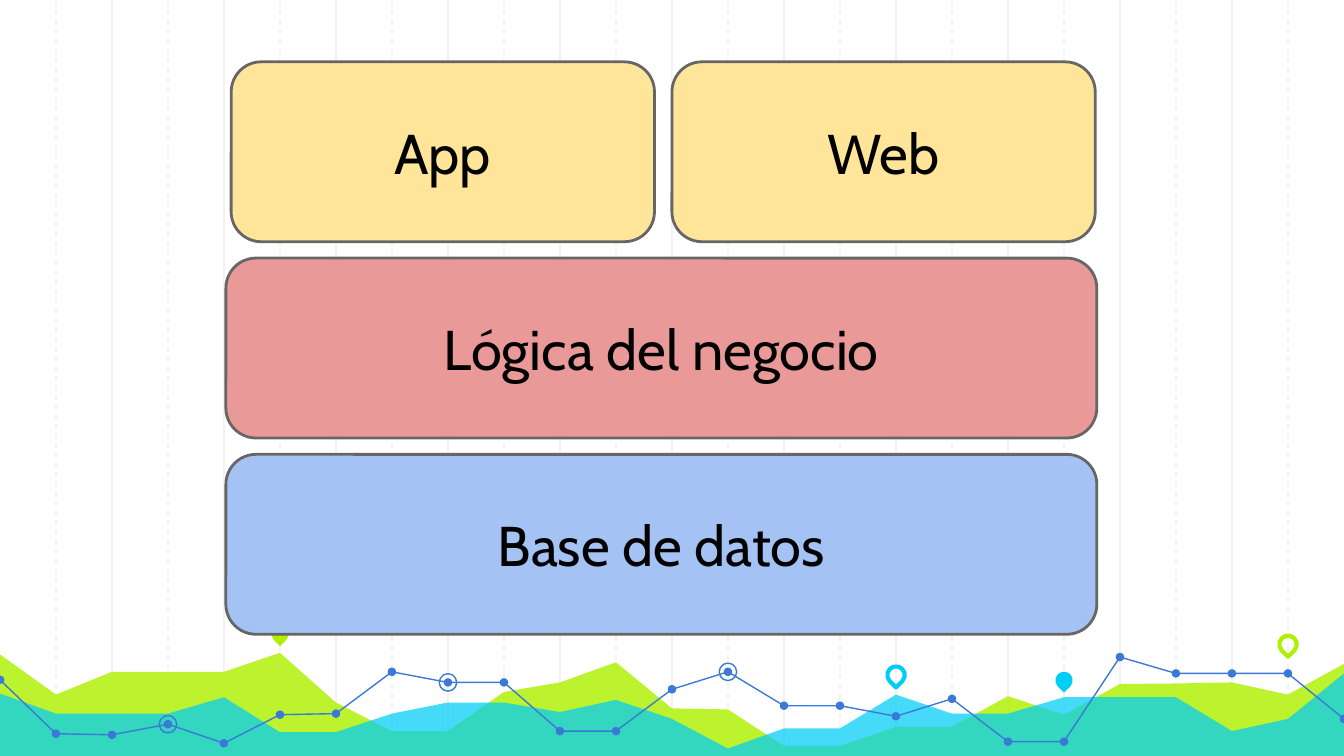
import lxml.etree
import pptx
import pptx.dml.color
import pptx.enum.dml
import pptx.enum.shapes
import pptx.enum.text
import pptx.oxml.ns
import pptx.util

Cm = pptx.util.Cm
Pt = pptx.util.Pt
MSO_SHAPE = pptx.enum.shapes.MSO_SHAPE
qn = pptx.oxml.ns.qn

COLORS = {
    "grid": "F3F3F3",
    "green": "AFF000",
    "cyan": "00CEF6",
    "trend": "3C78D8",
    "client": "FFE599",
    "logic": "EA9999",
    "data": "A4C2F4",
    "border": "666666",
    "text": "000000",
}

WIDTH, HEIGHT = 25.4, 14.29
COLUMNS = 24
STEP = WIDTH / COLUMNS
FLOOR = 14.35

# Heights in cm from the top of the slide, one for each grid column
GREEN_HILLS = [12.37, 13.13, 12.7, 12.7, 12.7, 12.34, 13.28, 13.82, 13.82,
               13.08, 12.9, 12.52, 13.39, 13.41, 14.1, 14.1, 13.74, 13.74,
               13.16, 13.51, 12.93, 12.92, 12.9, 13.13, 12.55]
CYAN_HILLS = [13.11, 13.49, 13.49, 13.49, 13.18, 13.84, 13.84, 13.49, 13.28,
              13.28, 13.46, 13.23, 13.59, 14.15, 13.77, 13.77, 13.13, 13.49,
              13.49, 13.18, 13.18, 13.18, 13.82, 13.59, 12.73]
TREND = [12.85, 13.87, 13.89, 13.69, 14.05, 13.51, 13.49, 12.7, 12.9,
         12.9, 13.82, 13.82, 13.03, 12.7, 13.34, 13.34, 13.54, 13.21,
         14.02, 14.02, 12.42, 12.73, 12.73, 12.73, 13.59]
RINGED_COLUMNS = (3, 8, 13)

# Column, height, colour, filled
PINS = [
    (5, 11.98, "green", True),
    (16, 12.76, "cyan", False),
    (19, 12.86, "cyan", True),
    (23, 12.18, "green", False),
]

# Text, colour, left, row, width
LAYERS = [
    ("App", "client", 4.37, 0, 8),
    ("Web", "client", 12.7, 0, 8),
    ("Lógica del negocio", "logic", 4.27, 1, 16.46),
    ("Base de datos", "data", 4.27, 2, 16.46),
]
LAYER_TOP, LAYER_HEIGHT, LAYER_PITCH = 1.17, 3.4, 3.71


def rgb(name):
    return pptx.dml.color.RGBColor.from_string(COLORS[name])


def paint(shape, fill=None, line=None, weight=0.75):
    """Set fill and line by colour name; None leaves either one out."""
    shape.shadow.inherit = False
    if fill:
        shape.fill.solid()
        shape.fill.fore_color.rgb = rgb(fill)
    else:
        shape.fill.background()
    if line:
        shape.line.color.rgb = rgb(line)
        shape.line.width = Pt(weight)
    else:
        shape.line.fill.background()


def add_gridline(slide, column):
    x = Cm(column * STEP)
    gridline = slide.shapes.add_connector(
        pptx.enum.shapes.MSO_CONNECTOR.STRAIGHT, x, 0, x, Cm(FLOOR))
    gridline.line.color.rgb = rgb("grid")
    gridline.line.width = Pt(0.75)
    if column % 2:
        gridline.line.dash_style = pptx.enum.dml.MSO_LINE.DASH
    lxml.etree.SubElement(gridline._element.spPr, qn("a:effectLst"))


def add_outline(slide, points, close):
    corners = [(Cm(x), Cm(y)) for x, y in points]
    builder = slide.shapes.build_freeform(*corners[0])
    builder.add_line_segments(corners[1:], close=close)
    return builder.convert_to_shape()


def on_columns(heights):
    return [(column * STEP, y) for column, y in enumerate(heights)]


def add_hills(slide, heights, color, opacity):
    points = on_columns(heights) + [(WIDTH, FLOOR), (0, FLOOR)]
    hills = add_outline(slide, points, close=True)
    paint(hills, fill=color)
    tint = hills._element.spPr.find(qn("a:solidFill"))[0]
    lxml.etree.SubElement(tint, qn("a:alpha"), val=str(opacity * 1000))


def add_marker(slide, kind, column, y, size, **look):
    """Add a small shape centred on a grid column."""
    marker = slide.shapes.add_shape(
        kind, Cm(column * STEP - size / 2), Cm(y - size / 2), Cm(size), Cm(size))
    paint(marker, **look)
    return marker


def add_pin(slide, column, y, color, filled):
    look = {"fill": color} if filled else {"line": color, "weight": 2.25}
    pin = add_marker(slide, MSO_SHAPE.TEAR, column, y, 0.33, **look)
    pin.rotation = 135


def add_trend(slide):
    trend = add_outline(slide, on_columns(TREND), close=False)
    paint(trend, line="trend")
    for column, y in enumerate(TREND):
        add_marker(slide, MSO_SHAPE.OVAL, column, y, 0.16, fill="trend")
    for column in RINGED_COLUMNS:
        add_marker(slide, MSO_SHAPE.OVAL, column, TREND[column], 0.33, line="trend")


def add_layer(slide, text, color, left, row, width):
    layer = slide.shapes.add_shape(
        MSO_SHAPE.ROUNDED_RECTANGLE, Cm(left), Cm(LAYER_TOP + row * LAYER_PITCH),
        Cm(width), Cm(LAYER_HEIGHT))
    paint(layer, fill=color, line="border", weight=1.5)
    frame = layer.text_frame
    frame_format = {
        "word_wrap": True,
        "vertical_anchor": pptx.enum.text.MSO_ANCHOR.MIDDLE,
        **{f"margin_{side}": Cm(0.25) for side in ("left", "right", "top", "bottom")},
    }
    for name, value in frame_format.items():
        setattr(frame, name, value)
    label = frame.paragraphs[0]
    label.alignment = pptx.enum.text.PP_ALIGN.CENTER
    run = label.add_run()
    run.text = text
    for name, value in {"name": "Cabin", "size": Pt(30)}.items():
        setattr(run.font, name, value)
    run.font.color.rgb = rgb("text")


def main():
    deck = pptx.Presentation()
    deck.slide_width, deck.slide_height = Cm(WIDTH), Cm(HEIGHT)
    slide = deck.slides.add_slide(deck.slide_layouts.get_by_name("Blank"))
    for column in range(1, COLUMNS):
        add_gridline(slide, column)
    add_hills(slide, GREEN_HILLS, "green", 82)
    add_hills(slide, CYAN_HILLS, "cyan", 73)
    add_trend(slide)
    for pin in PINS:
        add_pin(slide, *pin)
    for layer in LAYERS:
        add_layer(slide, *layer)
    deck.save("out.pptx")


if __name__ == "__main__":
    main()
